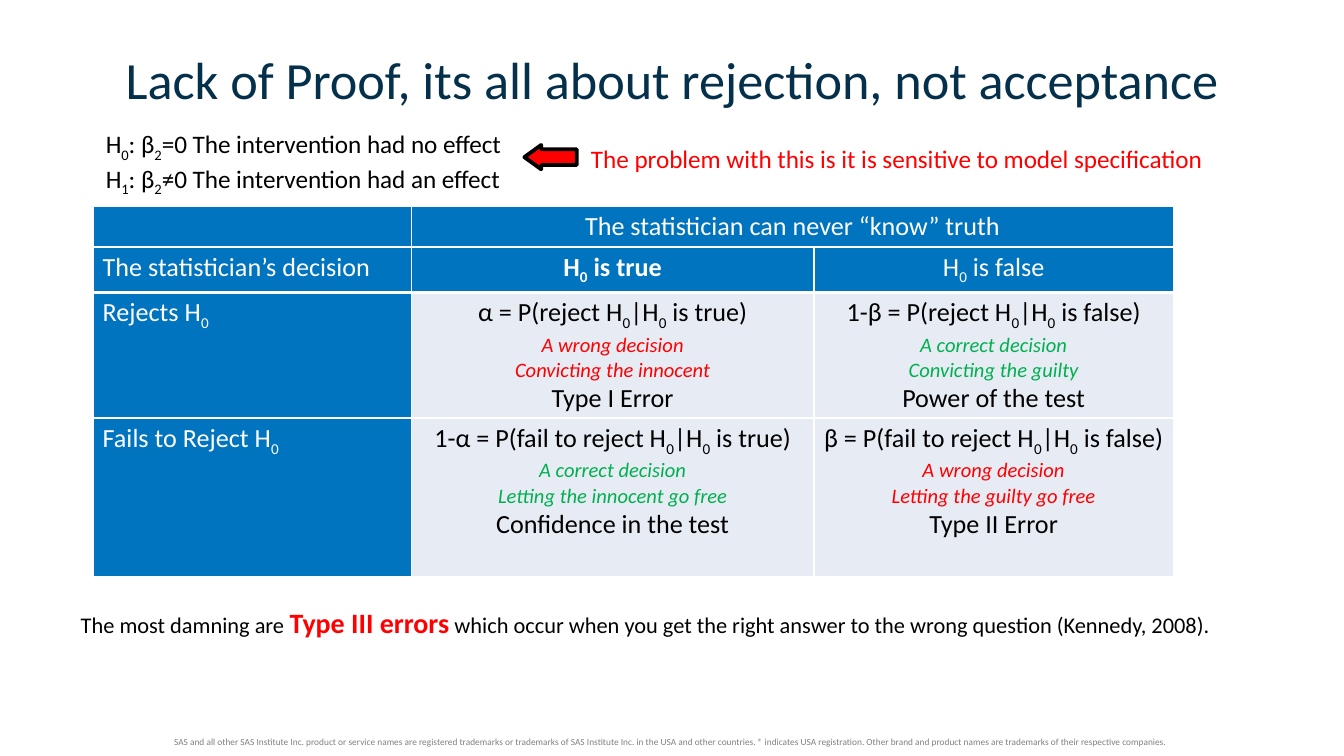
from lxml.etree import SubElement
from pptx import Presentation
from pptx.dml.color import RGBColor
from pptx.enum.shapes import MSO_SHAPE
from pptx.enum.text import MSO_ANCHOR, PP_ALIGN
from pptx.oxml.ns import qn
from pptx.util import Cm, Pt

NAVY = RGBColor(0x04, 0x30, 0x4B)
BLUE = RGBColor(0x00, 0x74, 0xBE)
PALE = RGBColor(0xE7, 0xEB, 0xF4)
RED = RGBColor(0xFF, 0x00, 0x00)
GREEN = RGBColor(0x00, 0xB0, 0x50)
GREY = RGBColor(0x80, 0x80, 0x80)
BLACK = RGBColor(0, 0, 0)
WHITE = RGBColor(0xFF, 0xFF, 0xFF)
FONT = "Calibri"

COLS = [6.02, 7.6, 6.8]
ROWS = [0.77, 0.86, 2.38, 2.99]
HEADS = [
    ["", "The statistician can never “know” truth", ""],
    ["The statistician’s decision", "H_0 is true", "H_0 is false"],
]
BODY = [
    ("Rejects H_0", [
        ("α = P(reject H_0|H_0 is true)", RED, "A wrong decision",
         "Convicting the innocent", "Type I Error"),
        ("1-β = P(reject H_0|H_0 is false)", GREEN, "A correct decision",
         "Convicting the guilty", "Power of the test"),
    ]),
    ("Fails to Reject H_0", [
        ("1-α = P(fail to reject H_0|H_0 is true)", GREEN, "A correct decision",
         "Letting the innocent go free", "Confidence in the test"),
        ("β = P(fail to reject H_0|H_0 is false)", RED, "A wrong decision",
         "Letting the guilty go free", "Type II Error"),
    ]),
]


def add_run(para, text, size, color, bold=False, italic=False):
    run = para.add_run()
    run.text = text
    font = run.font
    font.name, font.size = FONT, Pt(size)
    font.bold, font.italic = bold, italic
    font.color.rgb = color
    return run


def add_text(para, text, size, color, bold=False, italic=False):
    first, *rest = text.split("_")
    add_run(para, first, size, color, bold, italic)
    for part in rest:
        sub = add_run(para, part[0], size, color, bold, italic)
        sub.font._element.set("baseline", "-25000")
        if part[1:]:
            add_run(para, part[1:], size, color, bold, italic)


def add_box(slide, left, top, width, height, lines, size, color,
            align=PP_ALIGN.LEFT, wrap=True):
    box = slide.shapes.add_textbox(Cm(left), Cm(top), Cm(width), Cm(height))
    frame = box.text_frame
    frame.word_wrap = wrap
    for i, line in enumerate(lines):
        para = frame.add_paragraph() if i else frame.paragraphs[0]
        para.alignment = align
        add_text(para, line, size, color)
    return frame


def set_edge(cell, side, width):
    line = SubElement(cell._tc.get_or_add_tcPr(), qn("a:ln" + side),
                      w=str(Pt(width)))
    fill = SubElement(line, qn("a:solidFill"))
    SubElement(fill, qn("a:srgbClr"), val=str(WHITE))


def set_cell(cell, fill, row):
    cell.margin_left = cell.margin_right = Cm(0.18)
    cell.margin_top = cell.margin_bottom = Cm(0.09)
    thick = {(1, "B"), (2, "T")}
    for side in "LRTB":
        set_edge(cell, side, 2 if (row, side) in thick else 1)
    cell.fill.solid()
    cell.fill.fore_color.rgb = fill


def add_head(cell, text, row, align, bold=False):
    set_cell(cell, BLUE, row)
    para = cell.text_frame.paragraphs[0]
    para.alignment = align
    if text:
        add_text(para, text, 14, WHITE, bold)
    else:
        SubElement(para._p, qn("a:endParaRPr"), sz="1400")


def add_case(cell, case, row):
    set_cell(cell, PALE, row)
    odds, color, verdict, story, name = case
    lines = [(odds, 14, BLACK), (verdict, 11, color),
             (story, 11, color), (name, 14, BLACK)]
    frame = cell.text_frame
    for i, (text, size, tint) in enumerate(lines):
        para = frame.add_paragraph() if i else frame.paragraphs[0]
        para.alignment = PP_ALIGN.CENTER
        add_text(para, text, size, tint, italic=size == 11)


def add_grid(slide):
    grid = slide.shapes.add_table(
        len(ROWS), len(COLS), Cm(1.76), Cm(3.89),
        Cm(sum(COLS)), Cm(sum(ROWS))).table
    for col, width in zip(grid.columns, COLS):
        col.width = Cm(width)
    for row, height in zip(grid.rows, ROWS):
        row.height = Cm(height)
    for r, heads in enumerate(HEADS):
        for c, text in enumerate(heads):
            align = PP_ALIGN.CENTER if c else PP_ALIGN.LEFT
            add_head(grid.cell(r, c), text, r, align, text == "H_0 is true")
    grid.cell(0, 1).merge(grid.cell(0, 2))
    for r, (label, cases) in enumerate(BODY, len(HEADS)):
        add_head(grid.cell(r, 0), label, r, PP_ALIGN.LEFT)
        for c, case in enumerate(cases, 1):
            add_case(grid.cell(r, c), case, r)


def add_arrow(slide):
    arrow = slide.shapes.add_shape(
        MSO_SHAPE.RIGHT_ARROW, Cm(9.91), Cm(2.74), Cm(0.99), Cm(0.46))
    arrow.shadow.inherit = False
    arrow.rotation = 180
    arrow.adjustments[0] = 0.65
    arrow.adjustments[1] = 0.69
    arrow.fill.solid()
    arrow.fill.fore_color.rgb = RED
    arrow.line.color.rgb = BLACK
    arrow.line.width = Pt(2.08)


def add_title(slide):
    frame = add_box(slide, 1.75, 0.76, 21.9, 1.32,
                    ["Lack of Proof, its all about rejection, not acceptance"],
                    28, NAVY, PP_ALIGN.CENTER)
    frame.vertical_anchor = MSO_ANCHOR.BOTTOM
    frame.margin_top = frame.margin_bottom = 0


def add_close(slide):
    frame = add_box(slide, 0.76, 11.33, 22.89, 0.89, ["The most damning are "],
                    12, BLACK, PP_ALIGN.CENTER)
    para = frame.paragraphs[0]
    add_run(para, "Type III errors", 15, RED, bold=True)
    add_run(para, " which occur when you get the right answer to the wrong "
            "question (Kennedy, 2008).", 12, BLACK)


def main():
    deck = Presentation()
    deck.slide_width, deck.slide_height = Cm(25.4), Cm(14.29)
    slide = deck.slides.add_slide(deck.slide_layouts[6])
    add_box(slide, 0, 13.79, 25.4, 0.69, [
        "SAS and all other SAS Institute Inc. product or service names are "
        "registered trademarks or trademarks of SAS Institute Inc. in the USA "
        "and other countries. ® indicates USA registration. Other brand and "
        "product names are trademarks of their respective companies."],
        5, GREY, PP_ALIGN.CENTER)
    add_title(slide)
    add_grid(slide)
    add_box(slide, 1.75, 2.31, 8.81, 1.42, [
        "H_0: β_2=0 The intervention had no effect",
        "H_1: β_2≠0 The intervention had an effect"], 13.5, BLACK)
    add_close(slide)
    add_box(slide, 10.92, 2.59, 12.24, 0.84, [
        "The problem with this is it is sensitive to model specification"],
        13.5, RED, wrap=False)
    add_arrow(slide)
    deck.save("out.pptx")


if __name__ == "__main__":
    main()
